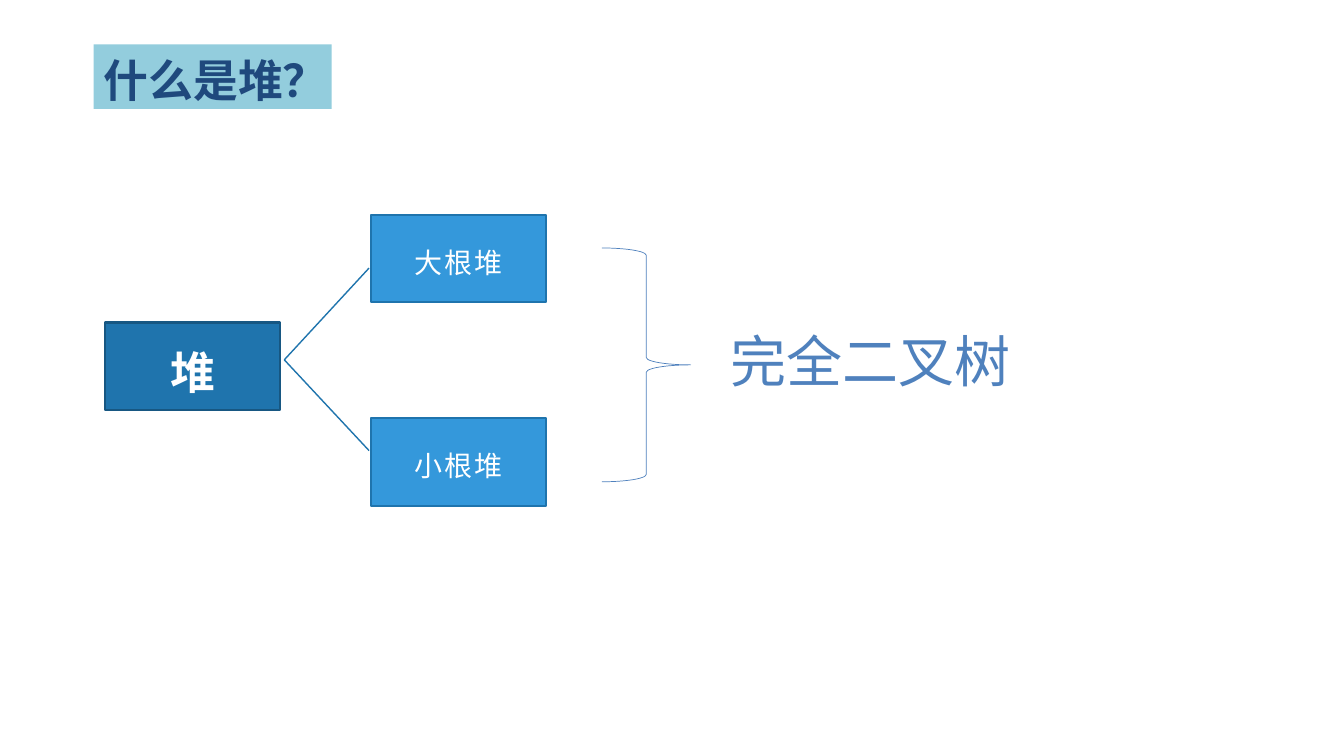
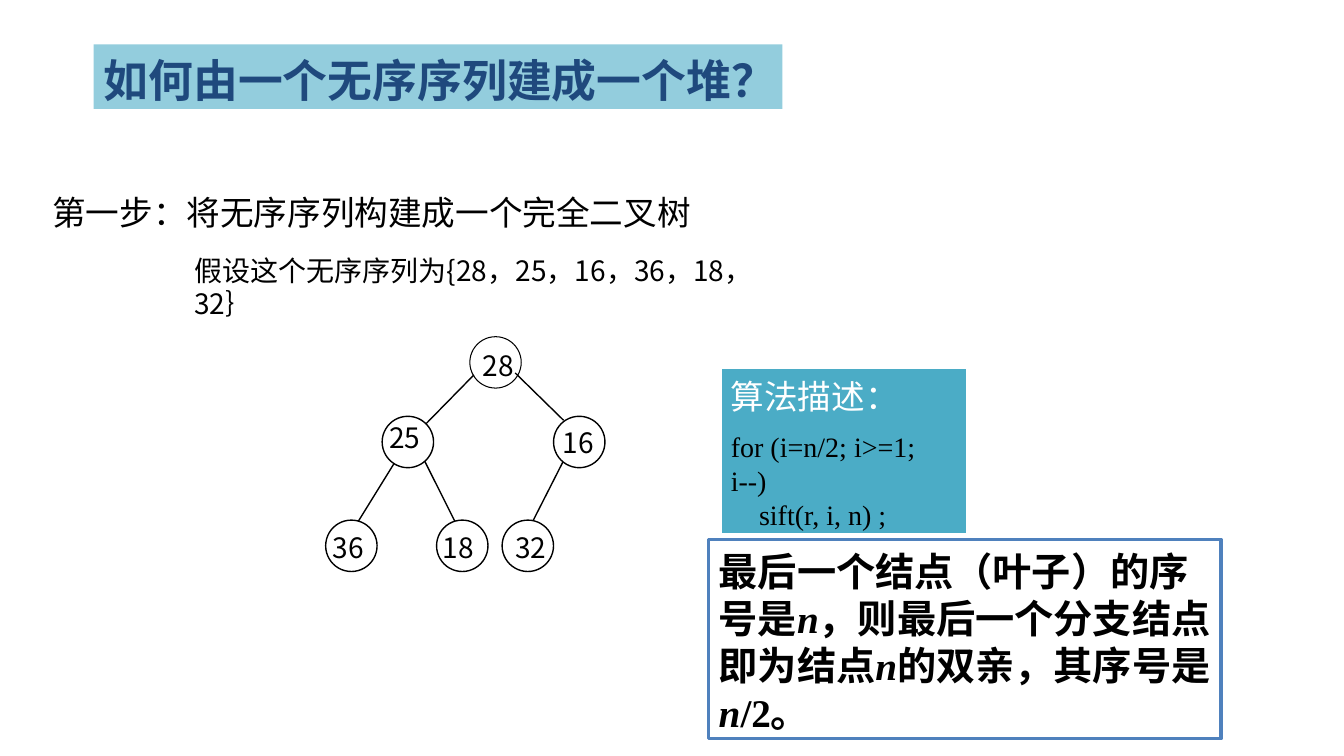
from dataclasses import dataclass

from lxml import etree
from pptx import Presentation
from pptx.dml.color import RGBColor
from pptx.enum.shapes import MSO_CONNECTOR, MSO_SHAPE
from pptx.enum.text import MSO_ANCHOR, PP_ALIGN
from pptx.oxml.ns import qn
from pptx.util import Emu, Pt

RECTANGLE = MSO_SHAPE.RECTANGLE
OVAL = MSO_SHAPE.OVAL
RIGHT_BRACE = MSO_SHAPE.RIGHT_BRACE
STRAIGHT = MSO_CONNECTOR.STRAIGHT
TOP, MIDDLE = MSO_ANCHOR.TOP, MSO_ANCHOR.MIDDLE
LEFT, CENTER = PP_ALIGN.LEFT, PP_ALIGN.CENTER

EMU_PER_PX = 9144  # 100 px to the inch
BLANK_LAYOUT = 6


@dataclass(frozen=True)
class Theme:
    # Colours
    title_band: str = "93CDDD"
    title_text: str = "1F497D"
    root_fill: str = "1F74AD"
    root_line: str = "175782"
    branch_fill: str = "3498DB"
    accent: str = "4F81BD"
    code_fill: str = "4BACC6"
    black: str = "000000"
    white: str = "FFFFFF"
    # Fonts
    sans: str = "Noto Sans CJK SC"
    mono: str = "Courier New"
    serif: str = "Times New Roman"
    # Type sizes in points
    hero: int = 40
    title: int = 32
    note: int = 28
    heading: int = 24
    body: int = 20
    line_height: float = 1.2


THEME = Theme()


def px(length):
    return Emu(round(length * EMU_PER_PX))


def color(value):
    return RGBColor.from_string(value)


# Shared drawing helpers

def add_box(shapes, kind, box, fill=None, line=None, width=1.0):
    shape = shapes.add_shape(kind, *map(px, box))
    shape.shadow.inherit = False
    if fill:
        shape.fill.solid()
        shape.fill.fore_color.rgb = color(fill)
    else:
        shape.fill.background()
    if line:
        shape.line.color.rgb = color(line)
        shape.line.width = Pt(width)
    else:
        shape.line.fill.background()
    return shape


def add_line(shapes, start, end, line, width=1.0):
    connector = shapes.add_connector(STRAIGHT, *map(px, start + end))
    connector.line.color.rgb = color(line)
    connector.line.width = Pt(width)
    etree.SubElement(connector._element.spPr, qn("a:effectLst"))


def add_run(paragraph, text, size, ink, font, bold=False, italic=False, tracking=0):
    run = paragraph.add_run()
    run.text = text
    run.font.size = Pt(size)
    run.font.bold = bold
    run.font.italic = italic
    run.font.color.rgb = color(ink)
    run.font.name = font
    properties = run.font._element
    etree.SubElement(properties, qn("a:ea")).set("typeface", THEME.sans)
    if tracking:
        properties.set("spc", str(round(tracking * 100)))


def prepare_frame(shape, size, insets=(10, 5, 10, 5), wrap=True):
    """Top-anchored frame; the first line drops a little with its type size."""
    frame = shape.text_frame
    frame.word_wrap = wrap
    frame.vertical_anchor = TOP
    left, top, right, bottom = insets
    frame.margin_left, frame.margin_right = px(left), px(right)
    frame.margin_top, frame.margin_bottom = px(top + size * 0.11), px(bottom)
    return frame


def format_paragraph(paragraph, size):
    paragraph.alignment = LEFT
    paragraph.line_spacing = Pt(size * THEME.line_height)
    return paragraph


def write_line(shape, text, size, ink, font, bold=False, **frame_options):
    frame = prepare_frame(shape, size, **frame_options)
    paragraph = format_paragraph(frame.paragraphs[0], size)
    add_run(paragraph, text, size, ink, font, bold)


def add_text(shapes, box, text, size, ink, font, **frame_options):
    text_box = shapes.add_textbox(*map(px, box))
    write_line(text_box, text, size, ink, font, **frame_options)


def add_title(slide, text, width):
    band = add_box(slide.shapes, RECTANGLE, (93, 44, width, 64), THEME.title_band)
    write_line(band, text, THEME.title, THEME.title_text, THEME.mono,
               bold=True, wrap=False)


# Slide 1: kinds of heap

def add_heap_node(slide, box, text, fill, line, size, bold=False):
    node = add_box(slide.shapes, RECTANGLE, box, fill, line, 1.5)
    frame = node.text_frame
    frame.word_wrap = True
    frame.vertical_anchor = MIDDLE
    paragraph = frame.paragraphs[0]
    paragraph.alignment = CENTER
    paragraph.line_spacing = THEME.line_height
    add_run(paragraph, text, size, THEME.white, THEME.sans, bold, tracking=1.5)


def add_heap_kinds(slide, left, top):
    width, height = 174, 87
    add_heap_node(slide, (left, top + 107, width, height), "堆",
                  THEME.root_fill, THEME.root_line, THEME.title, True)
    fork = (left + 178, top + 144)
    for text, node_top, line_end in (("大根堆", 0, 53), ("小根堆", 202, 234)):
        add_line(slide.shapes, fork, (left + 262, top + line_end), THEME.root_fill)
        add_heap_node(slide, (left + 264, top + node_top, width, height), text,
                      THEME.branch_fill, THEME.root_fill, THEME.body)
    # Brace and conclusion
    add_box(slide.shapes, RIGHT_BRACE, (left + 493, top + 33, 88, 232),
            line=THEME.accent, width=0.5)
    add_text(slide.shapes, (left + 611, top + 102, 378, 77), "完全二叉树",
             THEME.hero, THEME.accent, THEME.mono)


def build_definition_slide(slide):
    add_title(slide, "什么是堆？", 236)
    add_heap_kinds(slide, 104, 213)


# Slide 2: building a heap

def add_tree_node(shapes, left, top, value, shift, line_width=1.0):
    add_box(shapes, OVAL, (left, top, 51, 51), THEME.white, THEME.black, line_width)
    add_text(shapes, (left + shift[0], top + shift[1], 41, 56), value,
             THEME.body, THEME.black, THEME.sans, insets=(1, 3, 0, 1))


def add_binary_tree(slide, left, top):
    shapes = slide.shapes.add_group_shape().shapes
    add_tree_node(shapes, left + 143, top, "28", (12, 7), 0.75)
    # Edges: start and end from the corner of the tree
    for x1, y1, x2, y2 in (
        (188, 36, 236, 83), (147, 38, 98, 88),
        (98, 123, 130, 187), (69, 124, 30, 187), (236, 123, 206, 182),
    ):
        add_line(shapes, (left + x1, top + y1), (left + x2, top + y2), THEME.black)
    # Lower levels: position, value and shift of the value in its circle
    for x, y, value, shift in (
        (56, 79, "25", (6, -1)), (226, 79, "16", (8, 4)),
        (175, 182, "32", (12, 5)), (110, 182, "18", (5, 5)), (0, 182, "36", (6, 5)),
    ):
        add_tree_node(shapes, left + x, top + y, value, shift)


def add_algorithm(slide, box):
    panel = add_box(slide.shapes, RECTANGLE, box, THEME.code_fill, THEME.white, 1.5)
    write_line(panel, "算法描述：", THEME.heading, THEME.white, THEME.mono)
    for text, space, indent in (
        ("for (i=n/2; i>=1; i--)", 10, 0), ("sift(r, i, n) ;", 0, 28),
    ):
        paragraph = format_paragraph(panel.text_frame.add_paragraph(), THEME.body)
        paragraph.space_before = Pt(space)
        paragraph._p.get_or_add_pPr().set("marL", str(px(indent)))
        add_run(paragraph, text, THEME.body, THEME.black, THEME.serif)


def add_note(slide, box):
    panel = add_box(slide.shapes, RECTANGLE, box, line=THEME.accent, width=2.25)
    frame = prepare_frame(panel, THEME.note)
    paragraph = format_paragraph(frame.paragraphs[0], THEME.note)
    for text in ("最后一个结点（叶子）的序号是", "n", "，则最后一个分支结点即为结点",
                 "n", "的双亲，其序号是", "n", "/2。"):
        add_run(paragraph, text, THEME.note, THEME.black, THEME.serif,
                bold=True, italic=text == "n")


def build_construction_slide(slide):
    add_title(slide, "如何由一个无序序列建成一个堆？", 683)
    add_text(slide.shapes, (42, 183, 704, 50), "第一步：将无序序列构建成一个完全二叉树",
             THEME.heading, THEME.black, THEME.mono)
    add_text(slide.shapes, (183, 244, 626, 44),
             "假设这个无序序列为{28，25，16，36，18，32｝",
             THEME.body, THEME.black, THEME.sans)
    add_binary_tree(slide, 323, 334)
    add_algorithm(slide, (715, 365, 244, 165))
    add_note(slide, (703, 535, 508, 198))


def main():
    presentation = Presentation()
    presentation.slide_width = px(1333)
    presentation.slide_height = px(750)
    for build in (build_definition_slide, build_construction_slide):
        build(presentation.slides.add_slide(presentation.slide_layouts[BLANK_LAYOUT]))
    presentation.save("out.pptx")


if __name__ == "__main__":
    main()
